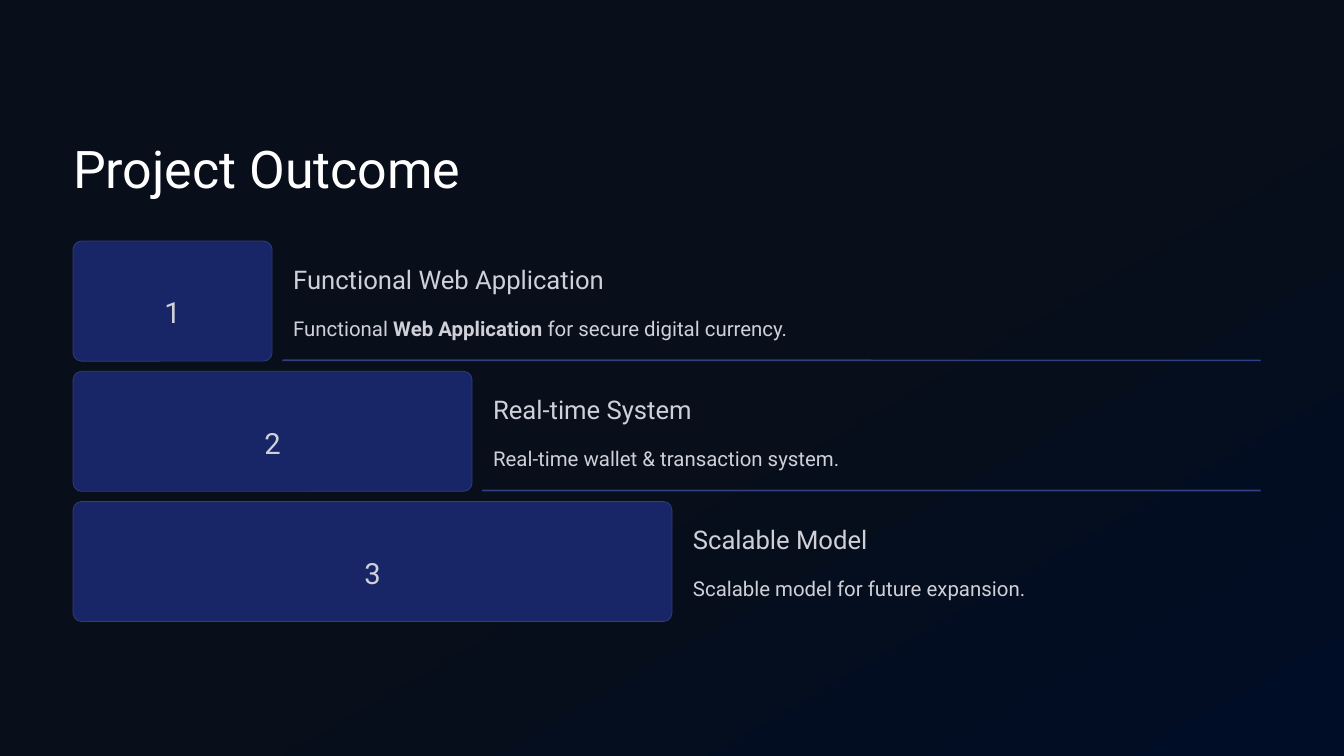
from pptx import Presentation
from pptx.dml.color import RGBColor
from pptx.enum.shapes import MSO_SHAPE
from pptx.enum.text import PP_ALIGN
from pptx.util import Pt

PX = 9144  # EMU per px, 100 px to the inch
ROUNDED = MSO_SHAPE.ROUNDED_RECTANGLE
LEFT, CENTER = PP_ALIGN.LEFT, PP_ALIGN.CENTER

FONT = "Roboto"
NIGHT = RGBColor(0x08, 0x0E, 0x1A)
NAVY = RGBColor(0x00, 0x0D, 0x26)
WHITE = RGBColor(0xFF, 0xFF, 0xFF)
PALE = RGBColor(0xCF, 0xD0, 0xD8)
BAR = RGBColor(0x18, 0x25, 0x67)
EDGE = RGBColor(0x31, 0x3E, 0x80)

# Heading, its box width, description as (text, bold) runs, its box width
OUTCOMES = [
    ("Functional Web Application", 378,
     [("Functional ", False), ("Web Application", True),
      (" for secure digital currency.", False)], 600),
    ("Real-time System", 310,
     [("Real-time wallet & transaction system.", False)], 421),
    ("Scalable Model", 310,
     [("Scalable model for future expansion.", False)], 404),
]


def px(*lengths):
    return [length * PX for length in lengths]


def add_text(slide, box, runs, size, line_spacing, color=PALE, align=LEFT):
    text_frame = slide.shapes.add_textbox(*px(*box)).text_frame
    text_frame.word_wrap = False
    text_frame.margin_left = text_frame.margin_right = 0
    text_frame.margin_top = text_frame.margin_bottom = 0
    paragraph = text_frame.paragraphs[0]
    paragraph.alignment = align
    paragraph.line_spacing = Pt(line_spacing)
    for text, bold in runs:
        run = paragraph.add_run()
        run.text = text
        run.font.name = FONT
        run.font.size = Pt(size)
        run.font.bold = bold
        run.font.color.rgb = color


def add_rounded(slide, box, fill, radius):
    shape = slide.shapes.add_shape(ROUNDED, *px(*box))
    shape.adjustments[0] = radius
    shape.shadow.inherit = False
    shape.fill.solid()
    shape.fill.fore_color.rgb = fill
    shape.line.fill.background()
    return shape


def paint_background(slide):
    fill = slide.background.fill
    fill.gradient()
    fill.gradient_angle = 300
    for stop, position, color in zip(fill.gradient_stops, (0.52, 1), (NIGHT, NAVY)):
        stop.position = position
        stop.color.rgb = color


def add_outcome(slide, box, bar_width, number, outcome, ruled):
    left, top, width, height = box
    heading, heading_width, description, description_width = outcome

    # Numbered bar
    bar = add_rounded(slide, (left, top, bar_width, height), BAR, 0.07)
    bar.line.color.rgb = EDGE
    bar.line.width = Pt(0.6)
    add_text(slide, (left + bar_width // 2 - 17, top + 50, 35, 44),
             [(str(number), False)], 25, 40, align=CENTER)

    # Heading and description
    text_left = left + bar_width + 25
    add_text(slide, (text_left, top + 25, heading_width, 39),
             [(heading, False)], 22, 27.5)
    add_text(slide, (text_left, top + 79, description_width, 40),
             description, 17.5, 28.5)

    # Divider
    if ruled:
        gap = bar_width + 12
        add_rounded(slide, (left + gap, top + height - 2, width - gap, 2), EDGE, 0.5)


def add_staircase(slide, box):
    left, top, width, height = box
    row_height, pitch, widest_bar = 143, 155, 713
    count = len(OUTCOMES)
    for number, outcome in enumerate(OUTCOMES, 1):
        row = (left, top + (number - 1) * pitch, width, row_height)
        add_outcome(slide, row, widest_bar * number // count, number, outcome,
                    ruled=number < count)


def main():
    presentation = Presentation()
    presentation.slide_width, presentation.slide_height = px(1600, 900)
    slide = presentation.slides.add_slide(presentation.slide_layouts[6])
    paint_background(slide)
    add_text(slide, (87, 160, 620, 78), [("Project Outcome", False)],
             44.5, 55.5, color=WHITE)
    add_staircase(slide, (87, 287, 1414, 453))
    presentation.save("out.pptx")


if __name__ == "__main__":
    main()
